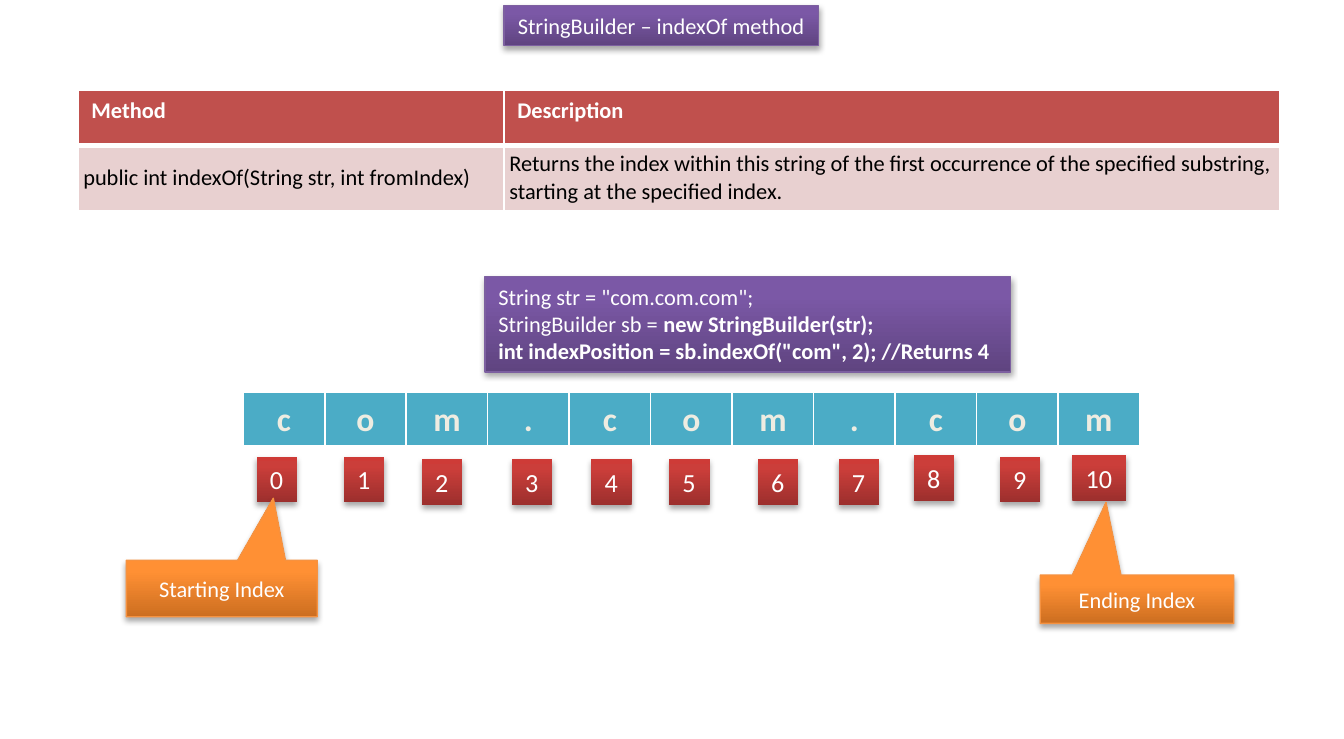
from dataclasses import dataclass

from lxml import etree
from pptx import Presentation
from pptx.dml.color import RGBColor
from pptx.enum import shapes, text
from pptx.oxml import ns
from pptx.util import Inches, Pt


@dataclass(frozen=True)
class Theme:
    font: str = "Calibri"
    body_size: int = 12
    index_size: int = 14
    letter_size: int = 18
    white: str = "FFFFFF"
    black: str = "000000"
    cream: str = "EEECE1"
    header: str = "C0504D"
    row: str = "E8D0D0"
    letter_cell: str = "4BACC6"
    # Gradient colours from bottom to top
    purple: tuple = ("5F4480", "7B58A6", "7C57A8")
    red: tuple = ("9C2F2D", "CB3E3A", "CE3B37")
    orange: tuple = ("CC6E20", "FF9034", "FF9136")
    purple_line: str = "7D60A0"
    orange_line: str = "F69240"


THEME = Theme()
LEFT, CENTER = text.PP_ALIGN.LEFT, text.PP_ALIGN.CENTER
TOP, MIDDLE = text.MSO_ANCHOR.TOP, text.MSO_ANCHOR.MIDDLE

CODE = [
    [('String str = "com.com.com";', False)],
    [("StringBuilder sb = ", False), ("new StringBuilder(str);", True)],
    [('int indexPosition = sb.indexOf("com", 2); //Returns 4', True)],
]
METHOD_ROWS = [
    ("Method", "Description"),
    ("public int indexOf(String str, int fromIndex)",
     "Returns the index within this string of the first occurrence of the "
     "specified substring, starting at the specified index."),
]
BADGE_PLACES = [
    (1.91, 3.4), (2.56, 3.4), (3.14, 3.42), (3.81, 3.42), (4.4, 3.42), (4.98, 3.42),
    (5.64, 3.42), (6.24, 3.42), (6.8, 3.39), (7.44, 3.4), (7.98, 3.39),
]


def set_attributes(target, values):
    for name, value in values.items():
        setattr(target, name, value)


def append_xml(parent, markup):
    """Append markup whose root tag declares no namespace of its own."""
    tag, rest = markup.split(">", 1)
    parent.append(etree.fromstring(f"{tag} {ns.nsdecls('a')}>{rest}"))


def place(shape, box):
    names = ("left", "top", "width", "height")
    set_attributes(shape, dict(zip(names, map(Inches, box))))


def write(frame, lines, size, color, align=LEFT):
    """Fill a text frame with lines, each a list of (words, bold) runs."""
    for number, line in enumerate(lines):
        paragraph = frame.add_paragraph() if number else frame.paragraphs[0]
        paragraph.alignment = align
        for words, bold in line:
            run = paragraph.add_run()
            run.text = words
            set_attributes(run.font, {"name": THEME.font, "size": Pt(size), "bold": bold})
            run.font.color.rgb = RGBColor.from_string(color)


def style_shape(shape, gradient, line=None):
    """Give a shape its gradient, outline and soft drop shadow."""
    properties = shape._element.spPr
    stops = "".join(f'<a:gs pos="{position}"><a:srgbClr val="{color}"/></a:gs>'
                    for position, color in zip((0, 80000, 100000), gradient))
    append_xml(properties, f'<a:gradFill><a:gsLst>{stops}</a:gsLst>'
                           '<a:lin ang="16200000" scaled="0"/></a:gradFill>')
    if line:
        shape.line.color.rgb = RGBColor.from_string(line)
        shape.line.width = Pt(0.75)
    else:
        shape.line.fill.background()
    append_xml(properties, '<a:effectLst><a:outerShdw blurRad="40000" dist="23000" '
                           'dir="5400000" rotWithShape="0"><a:srgbClr val="000000">'
                           '<a:alpha val="35000"/></a:srgbClr></a:outerShdw></a:effectLst>')


def add_title(slide, words):
    title = slide.shapes.title
    place(title, (3.75, 0.04, 2.34, 0.3))
    style_shape(title, THEME.purple, THEME.purple_line)
    set_attributes(title.text_frame, {"word_wrap": False, "vertical_anchor": TOP,
                                      "auto_size": text.MSO_AUTO_SIZE.NONE})
    write(title.text_frame, [[(words, False)]], THEME.body_size, THEME.white, CENTER)


def add_box(slide, box, lines, size, gradient, line=None):
    shape = slide.shapes.add_shape(shapes.MSO_SHAPE.RECTANGLE, *map(Inches, box))
    style_shape(shape, gradient, line)
    set_attributes(shape.text_frame, {"word_wrap": False, "vertical_anchor": TOP})
    write(shape.text_frame, lines, size, THEME.white)


def add_callout(slide, box, words, pointer):
    callout = slide.shapes.add_shape(shapes.MSO_SHAPE.RECTANGULAR_CALLOUT, *map(Inches, box))
    callout.adjustments[0], callout.adjustments[1] = pointer
    style_shape(callout, THEME.orange, THEME.orange_line)
    set_attributes(callout.text_frame, {"word_wrap": True, "vertical_anchor": MIDDLE})
    write(callout.text_frame, [[(words, False)]], THEME.body_size, THEME.white, CENTER)


def add_table(slide, left, top, widths, row_count):
    height = 0.41
    frame = slide.shapes.add_table(row_count, len(widths), Inches(left), Inches(top),
                                   Inches(sum(widths)), Inches(height * row_count))
    table = frame.table
    set_attributes(table, {"first_row": False, "horz_banding": False})
    for column, width in zip(table.columns, widths):
        column.width = Inches(width)
    for row in table.rows:
        row.height = Inches(height)
    return table


def fill_cell(cell, words, size, color, fill, borders, bold=True, align=LEFT):
    """Write and paint a cell; borders maps a side letter to points."""
    properties = cell._tc.get_or_add_tcPr()
    for side, points in borders.items():
        append_xml(properties, f'<a:ln{side} w="{Pt(points)}"><a:solidFill>'
                               f'<a:srgbClr val="{THEME.white}"/></a:solidFill></a:ln{side}>')
    cell.fill.solid()
    cell.fill.fore_color.rgb = RGBColor.from_string(fill)
    write(cell.text_frame, [[(words, bold)]], size, color, align)


def add_method_table(slide, header_borders):
    table = add_table(slide, 0.58, 0.67, (3.17, 5.77), len(METHOD_ROWS))
    header, body = METHOD_ROWS
    for column, words in enumerate(header):
        fill_cell(table.cell(0, column), words, THEME.body_size, THEME.white,
                  THEME.header, header_borders)
    for column, words in enumerate(body):
        cell = table.cell(1, column)
        sides = ("left", "top", "right", "bottom")
        set_attributes(cell, {f"margin_{side}": Inches(0.04) for side in sides})
        cell.vertical_anchor = MIDDLE
        fill_cell(cell, words, THEME.body_size, THEME.black, THEME.row,
                  {"L": 1, "R": 1, "B": 1}, bold=False)


def add_letter_table(slide, word, borders):
    table = add_table(slide, 1.81, 2.92, [6.67 / len(word)] * len(word), 1)
    for column, letter in enumerate(word):
        fill_cell(table.cell(0, column), letter, THEME.letter_size, THEME.cream,
                  THEME.letter_cell, borders, align=CENTER)


def main():
    presentation = Presentation()
    set_attributes(presentation, {"slide_width": Inches(10), "slide_height": Inches(5.5)})
    slide = presentation.slides.add_slide(presentation.slide_layouts.get_by_name("Title Only"))

    header_borders = {"L": 1, "R": 1, "T": 1, "B": 3}
    add_title(slide, "StringBuilder – indexOf method")
    add_method_table(slide, header_borders)
    add_letter_table(slide, "com.com.com", header_borders)
    for index, (left, top) in enumerate(BADGE_PLACES):
        width = 0.3 if index < 10 else 0.4
        add_box(slide, (left, top, width, 0.34), [[(str(index), False)]],
                THEME.index_size, THEME.red)
    add_callout(slide, (0.94, 4.17, 1.42, 0.42), "Starting Index", (0.27, -1.6))
    add_callout(slide, (7.74, 4.28, 1.44, 0.36), "Ending Index", (-0.16, -2))
    add_box(slide, (3.61, 2.06, 3.91, 0.71), CODE, THEME.body_size,
            THEME.purple, THEME.purple_line)

    presentation.save("out.pptx")


if __name__ == "__main__":
    main()
